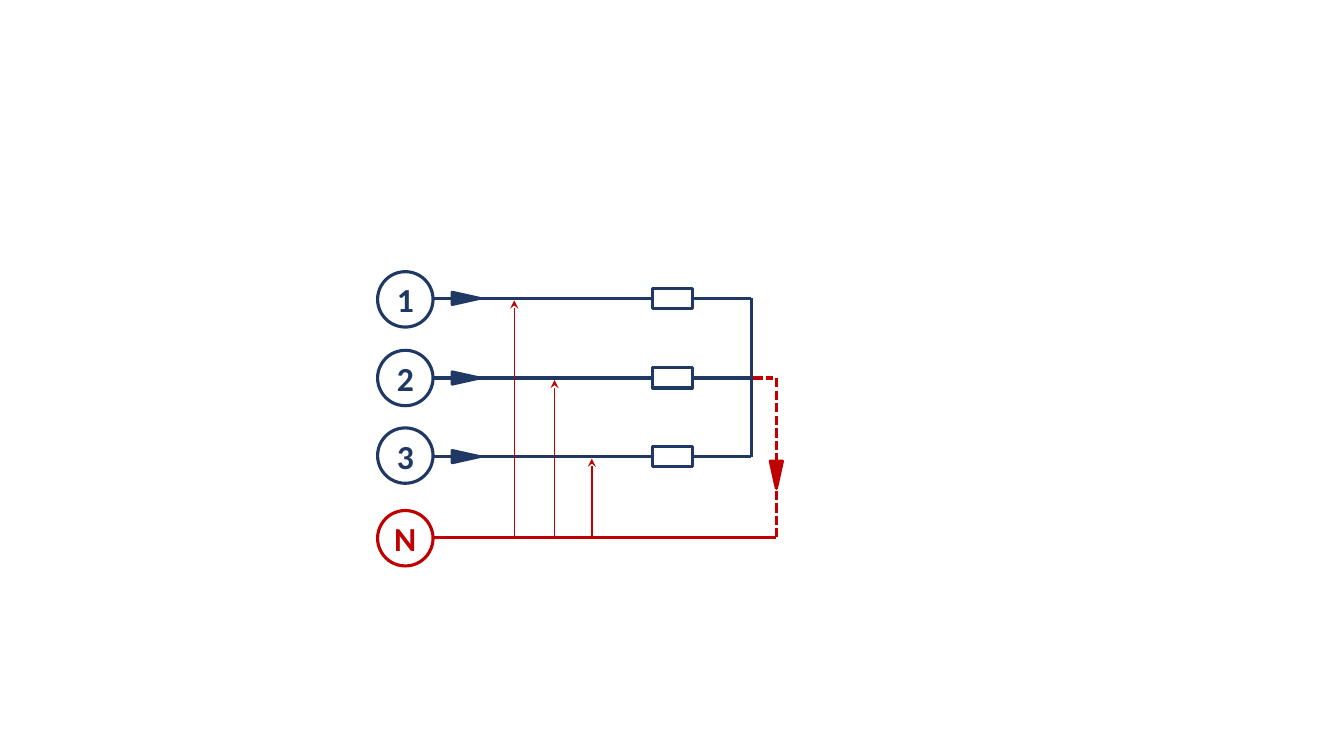
from lxml import etree
from pptx import Presentation
from pptx.dml.color import RGBColor
from pptx.enum import dml, shapes, text
from pptx.oxml import ns
from pptx.util import Inches, Pt

NAVY = RGBColor(0x20, 0x38, 0x64)
RED = RGBColor(0xC0, 0x00, 0x00)
WHITE = RGBColor(0xFF, 0xFF, 0xFF)


class Circuit:
    """Draws circuit symbols on one slide in a shared style."""

    font = "Calibri"
    label_size = Pt(24)
    stroke = Pt(2.25)
    terminal_size = 0.55
    load_size = (0.39, 0.2)
    arrow_size = (0.12, 0.27)

    def __init__(self, slide):
        self.slide = slide

    def wire(self, start, end, color, dashed=False):
        wire = self.slide.shapes.add_connector(
            shapes.MSO_CONNECTOR.STRAIGHT, *map(Inches, start + end))
        wire.line.color.rgb = color
        wire.line.width = self.stroke
        if dashed:
            wire.line.dash_style = dml.MSO_LINE.SQUARE_DOT
        etree.SubElement(wire._element.spPr, ns.qn("a:effectLst"))
        return wire

    def voltage(self, start, end):
        """Thin red arrow from the neutral wire up to a phase wire."""
        arrow = self.wire(start, end, RED)
        arrow.line.width = Pt(1)
        etree.SubElement(arrow.line._get_or_add_ln(), ns.qn("a:tailEnd"), type="stealth")

    def symbol(self, kind, center, size, color, fill=None):
        (x, y), (width, height) = center, size
        symbol = self.slide.shapes.add_shape(
            kind, Inches(x - width / 2), Inches(y - height / 2), Inches(width), Inches(height))
        symbol.shadow.inherit = False
        if fill is None:
            symbol.fill.background()
        else:
            symbol.fill.solid()
            symbol.fill.fore_color.rgb = fill
        symbol.line.color.rgb = color
        symbol.line.width = self.stroke
        return symbol

    def terminal(self, center, label, color):
        size = (self.terminal_size, self.terminal_size)
        frame = self.symbol(shapes.MSO_SHAPE.OVAL, center, size, color).text_frame
        frame.margin_left = frame.margin_right = 0
        frame.vertical_anchor = text.MSO_ANCHOR.MIDDLE
        paragraph = frame.paragraphs[0]
        paragraph.alignment = text.PP_ALIGN.CENTER
        run = paragraph.add_run()
        run.text = label
        run.font.name = self.font
        run.font.size = self.label_size
        run.font.bold = True
        run.font.color.rgb = color

    def current(self, center, rotation, color):
        """Solid triangle showing the direction of a current."""
        self.symbol(shapes.MSO_SHAPE.ISOSCELES_TRIANGLE, center, self.arrow_size,
                    color, color).rotation = rotation

    def load(self, center):
        self.symbol(shapes.MSO_SHAPE.RECTANGLE, center, self.load_size, NAVY, WHITE)


def main():
    prs = Presentation()
    prs.slide_width, prs.slide_height = Inches(13.33), Inches(7.5)
    circuit = Circuit(prs.slides.add_slide(prs.slide_layouts[6]))

    terminal_x, wire_x, star_x, return_x = 4.02, 4.3, 7.45, 7.7
    neutral_y = 5.33
    # label, wire height, terminal centre height, x of its voltage arrow
    phases = [("1", 2.96, 2.97, 5.1), ("2", 3.75, 3.75, 5.5), ("3", 4.53, 4.52, 5.87)]
    star_top, star_middle, star_bottom = (phase[1] for phase in phases)

    for label, wire_y, terminal_y, _ in phases:
        circuit.wire((wire_x, wire_y), (star_x, wire_y), NAVY)
        circuit.terminal((terminal_x, terminal_y), label, NAVY)
        circuit.current((4.62, wire_y), 90, NAVY)
        circuit.load((6.67, wire_y))
    circuit.wire((wire_x, neutral_y), (return_x, neutral_y), RED)
    circuit.terminal((terminal_x, 5.34), "N", RED)

    for _, wire_y, _, voltage_x in phases:
        circuit.voltage((voltage_x, neutral_y), (voltage_x, wire_y + 0.02))

    circuit.wire((star_x, star_top), (star_x, star_bottom), NAVY)
    circuit.wire((star_x + 0.02, star_middle), (return_x - 0.03, star_middle), RED, dashed=True)
    circuit.wire((return_x, star_middle), (return_x, neutral_y), RED, dashed=True)
    circuit.current((return_x, 4.71), 180, RED)

    prs.save("out.pptx")


if __name__ == "__main__":
    main()
